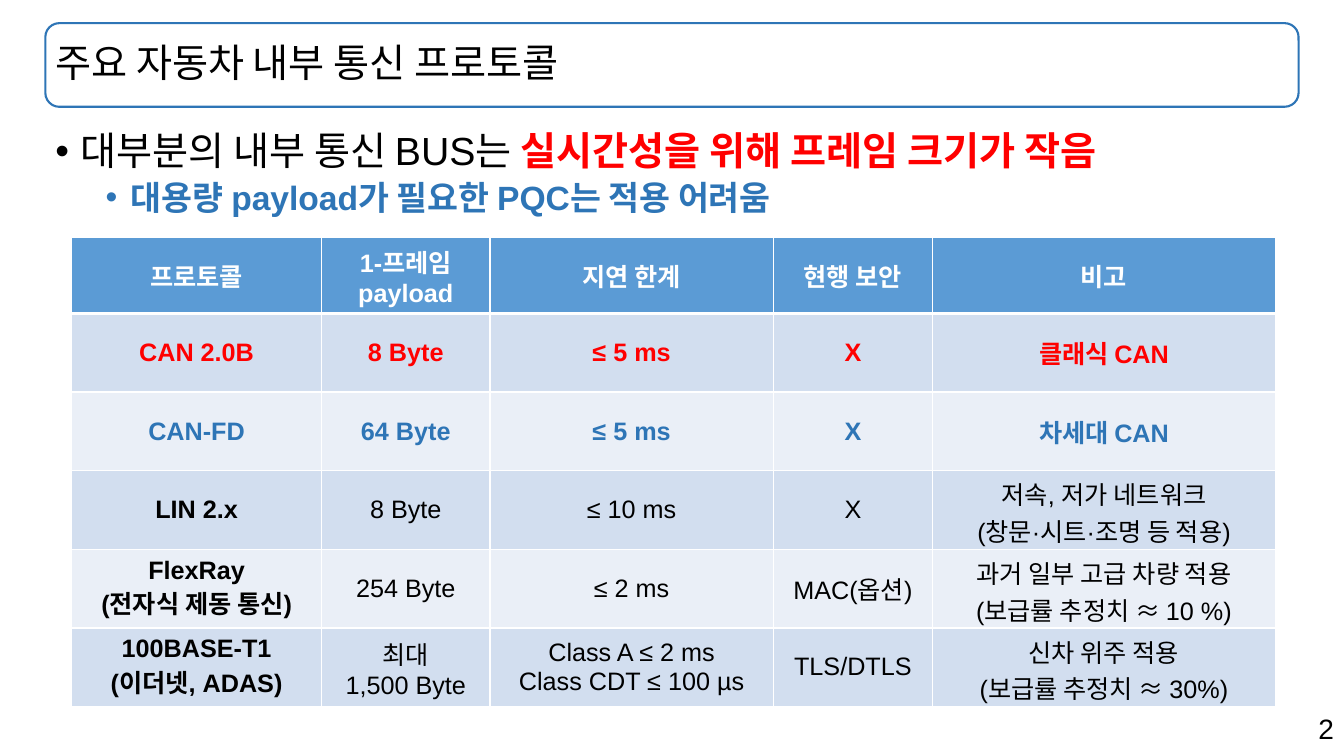
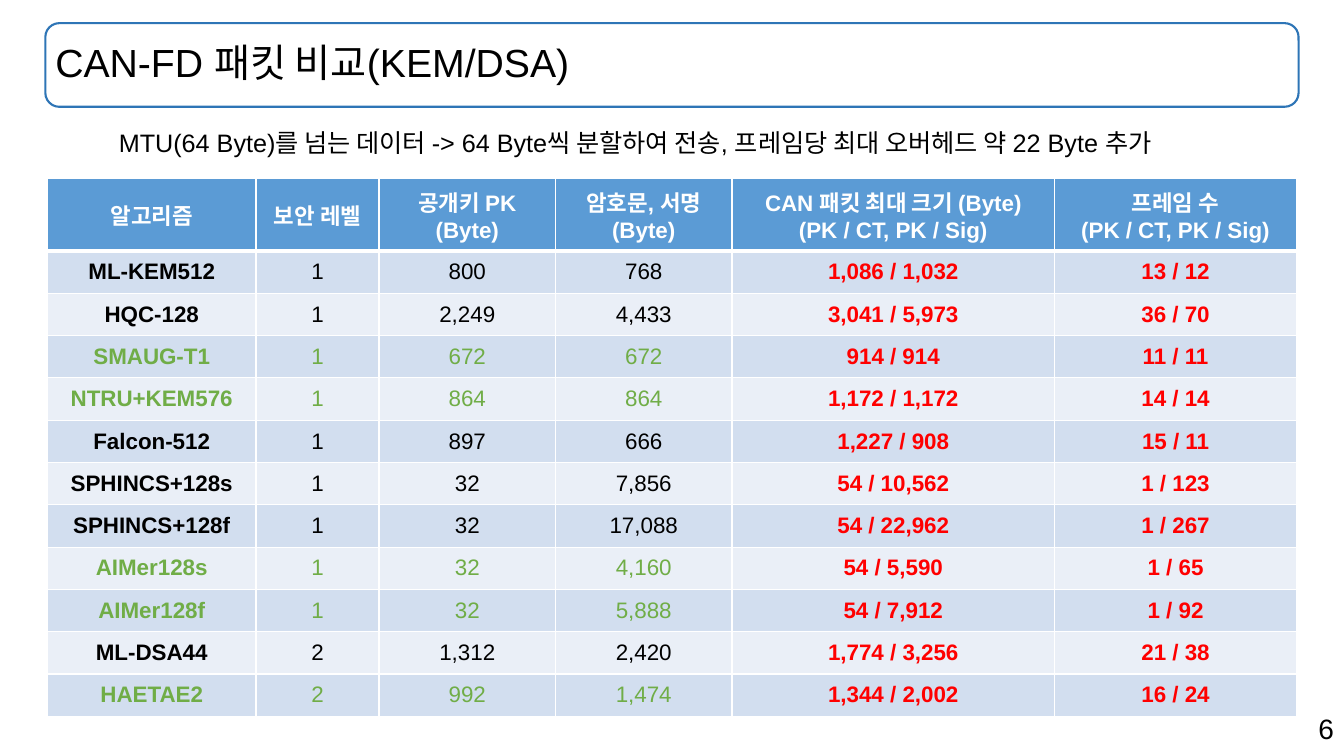
from dataclasses import dataclass

from lxml import etree
from pptx import Presentation
from pptx.dml.color import RGBColor
from pptx.enum.shapes import MSO_SHAPE
from pptx.enum.text import MSO_ANCHOR, PP_ALIGN
from pptx.oxml.ns import qn
from pptx.util import Inches, Pt

LEFT, CENTER, RIGHT = PP_ALIGN.LEFT, PP_ALIGN.CENTER, PP_ALIGN.RIGHT
TOP, MIDDLE = MSO_ANCHOR.TOP, MSO_ANCHOR.MIDDLE
ROUNDED = MSO_SHAPE.ROUNDED_RECTANGLE


@dataclass(frozen=True)
class Theme:
    font: str = "Arial"
    black: str = "000000"
    white: str = "FFFFFF"
    red: str = "FF0000"
    blue: str = "2E75B6"
    green: str = "70AD47"
    header: str = "5B9BD5"
    bands: tuple = ("D2DEEF", "EAEFF7")
    title_size: int = 28
    bullet_sizes: tuple = (28, 24)
    page_size: int = 20
    note_size: int = 18


THEME = Theme()
WIDTH, HEIGHT = 13.33, 7.5
MARGIN = 0.45
CONTENT_WIDTH = WIDTH - 2 * MARGIN
TITLE_BOX = (MARGIN, 0.23, CONTENT_WIDTH, 0.83)
BULLET_BOX = (MARGIN, 1.26, CONTENT_WIDTH, 1)
NOTE_BOX = (1.08, 1.21, 11.18, 0.4)
PAGE_BOX = (WIDTH - 3.9, 7.01, 3.9, 0.44)

# Each bullet: level, then (text, colour, bold) runs
PROTOCOL_BULLETS = [
    (0, [("대부분의 내부 통신 BUS는 ", THEME.black, False),
         ("실시간성을 위해 프레임 크기가 작음", THEME.red, True)]),
    (1, [("대용량 payload가 필요한 PQC는 적용 어려움", THEME.blue, True)]),
]
PROTOCOLS = [
    ("프로토콜", "1-프레임\npayload", "지연 한계", "현행 보안", "비고"),
    ("CAN 2.0B", "8 Byte", "≤ 5 ms", "X", "클래식 CAN"),
    ("CAN-FD", "64 Byte", "≤ 5 ms", "X", "차세대 CAN"),
    ("LIN 2.x", "8 Byte", "≤ 10 ms", "X",
     "저속, 저가 네트워크\n(창문·시트·조명 등 적용)"),
    ("FlexRay\n(전자식 제동 통신)", "254 Byte", "≤ 2 ms", "MAC(옵션)",
     "과거 일부 고급 차량 적용\n(보급률 추정치 ≈ 10 %)"),
    ("100BASE-T1\n(이더넷, ADAS)", "최대\n1,500 Byte",
     "Class A ≤ 2 ms\nClass CDT ≤ 100 µs", "TLS/DTLS",
     "신차 위주 적용\n(보급률 추정치 ≈ 30%)"),
]
PROTOCOL_COLORS = {"CAN 2.0B": THEME.red, "CAN-FD": THEME.blue}

PACKET_NOTE = ("MTU(64 Byte)를 넘는 데이터 -> 64 Byte씩 분할하여 전송, "
               "프레임당 최대 오버헤드 약 22 Byte 추가")
PACKETS = [
    ("알고리즘", "보안 레벨", "공개키 PK\n(Byte)", "암호문, 서명\n(Byte)",
     "CAN 패킷 최대 크기 (Byte)\n(PK / CT, PK / Sig)",
     "프레임 수\n(PK / CT, PK / Sig)"),
    ("ML-KEM512", "1", "800", "768", "1,086 / 1,032", "13 / 12"),
    ("HQC-128", "1", "2,249", "4,433", "3,041 / 5,973", "36 / 70"),
    ("SMAUG-T1", "1", "672", "672", "914 / 914", "11 / 11"),
    ("NTRU+KEM576", "1", "864", "864", "1,172 / 1,172", "14 / 14"),
    ("Falcon-512", "1", "897", "666", "1,227 / 908", "15 / 11"),
    ("SPHINCS+128s", "1", "32", "7,856", "54 / 10,562", "1 / 123"),
    ("SPHINCS+128f", "1", "32", "17,088", "54 / 22,962", "1 / 267"),
    ("AIMer128s", "1", "32", "4,160", "54 / 5,590", "1 / 65"),
    ("AIMer128f", "1", "32", "5,888", "54 / 7,912", "1 / 92"),
    ("ML-DSA44", "2", "1,312", "2,420", "1,774 / 3,256", "21 / 38"),
    ("HAETAE2", "2", "992", "1,474", "1,344 / 2,002", "16 / 24"),
]
GREEN_ALGORITHMS = {"SMAUG-T1", "NTRU+KEM576", "AIMer128s", "AIMer128f", "HAETAE2"}
FIRST_RESULT_COLUMN = 4


def rgb(color):
    return RGBColor.from_string(color)


def inches(box):
    return [Inches(length) for length in box]


def style_font(font, size, color, bold=False):
    font.name, font.size, font.bold = THEME.font, Pt(size), bold
    font.color.rgb = rgb(color)


def write_text(text_frame, text, size, color, bold=False, align=LEFT, spacing=None):
    text_frame.text = text
    for paragraph in text_frame.paragraphs:
        paragraph.alignment = align
        paragraph.line_spacing = spacing
        for run in paragraph.runs:
            style_font(run.font, size, color, bold)


def add_text_box(slide, box, anchor=TOP):
    text_frame = slide.shapes.add_textbox(*inches(box)).text_frame
    text_frame.word_wrap = True
    text_frame.vertical_anchor = anchor
    return text_frame


def add_bullets(slide, bullets):
    text_frame = add_text_box(slide, BULLET_BOX)
    for index, (level, runs) in enumerate(bullets):
        paragraph = text_frame.add_paragraph() if index else text_frame.paragraphs[0]
        properties = paragraph._p.get_or_add_pPr()
        properties.set("marL", str(Inches(0.25 + 0.5 * level)))
        properties.set("indent", str(Inches(-0.25)))
        etree.SubElement(properties, qn("a:buFont"), typeface=THEME.font)
        etree.SubElement(properties, qn("a:buChar"), char="•")
        paragraph.level = level
        paragraph.line_spacing = 0.9
        if index:
            paragraph.space_before = Pt(5)
        for text, color, bold in runs:
            run = paragraph.add_run()
            run.text = text
            style_font(run.font, THEME.bullet_sizes[level], color, bold)


def set_borders(cell, bottom_width):
    properties = cell._tc.get_or_add_tcPr()
    for side, width in (("L", 1), ("R", 1), ("T", 1), ("B", bottom_width)):
        line = etree.SubElement(properties, qn(f"a:ln{side}"), w=str(Pt(width)))
        fill = etree.SubElement(line, qn("a:solidFill"))
        etree.SubElement(fill, qn("a:srgbClr"), val=THEME.white)


def add_table(slide, corner, columns, header_height, row_height, rows, size, body_style):
    """body_style(row, column) gives the colour and weight of a body cell."""
    heights = [header_height] + [row_height] * (len(rows) - 1)
    box = (*corner, sum(columns), sum(heights))
    table = slide.shapes.add_table(len(rows), len(columns), *inches(box)).table
    for column, width in zip(table.columns, columns):
        column.width = Inches(width)
    for row, height in zip(table.rows, heights):
        row.height = Inches(height)
    for row_index, row in enumerate(rows):
        is_header = row_index == 0
        for column_index, text in enumerate(row):
            cell = table.cell(row_index, column_index)
            set_borders(cell, 3 if is_header else 1)
            cell.fill.solid()
            band = THEME.bands[(row_index - 1) % 2]
            cell.fill.fore_color.rgb = rgb(THEME.header if is_header else band)
            cell.vertical_anchor = MIDDLE
            color, bold = (THEME.white, True) if is_header else body_style(row, column_index)
            write_text(cell.text_frame, text, size, color, bold, CENTER)


def protocol_style(row, column):
    color = PROTOCOL_COLORS.get(row[0], THEME.black)
    return color, column == 0 or row[0] in PROTOCOL_COLORS


def packet_style(row, column):
    if column >= FIRST_RESULT_COLUMN:
        return THEME.red, True
    color = THEME.green if row[0] in GREEN_ALGORITHMS else THEME.black
    return color, column == 0


def add_slide(presentation, title, page):
    slide = presentation.slides.add_slide(presentation.slide_layouts[6])
    write_text(add_text_box(slide, PAGE_BOX), page, THEME.page_size, THEME.black, align=RIGHT)
    frame = slide.shapes.add_shape(ROUNDED, *inches(TITLE_BOX))
    frame.shadow.inherit = False
    frame.fill.background()
    frame.line.color.rgb = rgb(THEME.blue)
    frame.line.width = Pt(1.5)
    write_text(add_text_box(slide, TITLE_BOX, MIDDLE), title,
               THEME.title_size, THEME.black, spacing=0.9)
    return slide


def main():
    presentation = Presentation()
    presentation.slide_width, presentation.slide_height = inches((WIDTH, HEIGHT))

    slide = add_slide(presentation, "주요 자동차 내부 통신 프로토콜", "2")
    add_bullets(slide, PROTOCOL_BULLETS)
    add_table(slide, (0.71, 2.36), (2.48, 1.67, 2.81, 1.58, 3.4), 0.75, 0.78,
              PROTOCOLS, 18, protocol_style)

    slide = add_slide(presentation, "CAN-FD 패킷 비교(KEM/DSA)", "6")
    add_table(slide, (0.47, 1.77), (2.07, 1.22, 1.75, 1.75, 3.2, 2.4), 0.72, 0.42,
              PACKETS, 16, packet_style)
    write_text(add_text_box(slide, NOTE_BOX), PACKET_NOTE, THEME.note_size, THEME.black)

    presentation.save("out.pptx")


if __name__ == "__main__":
    main()
